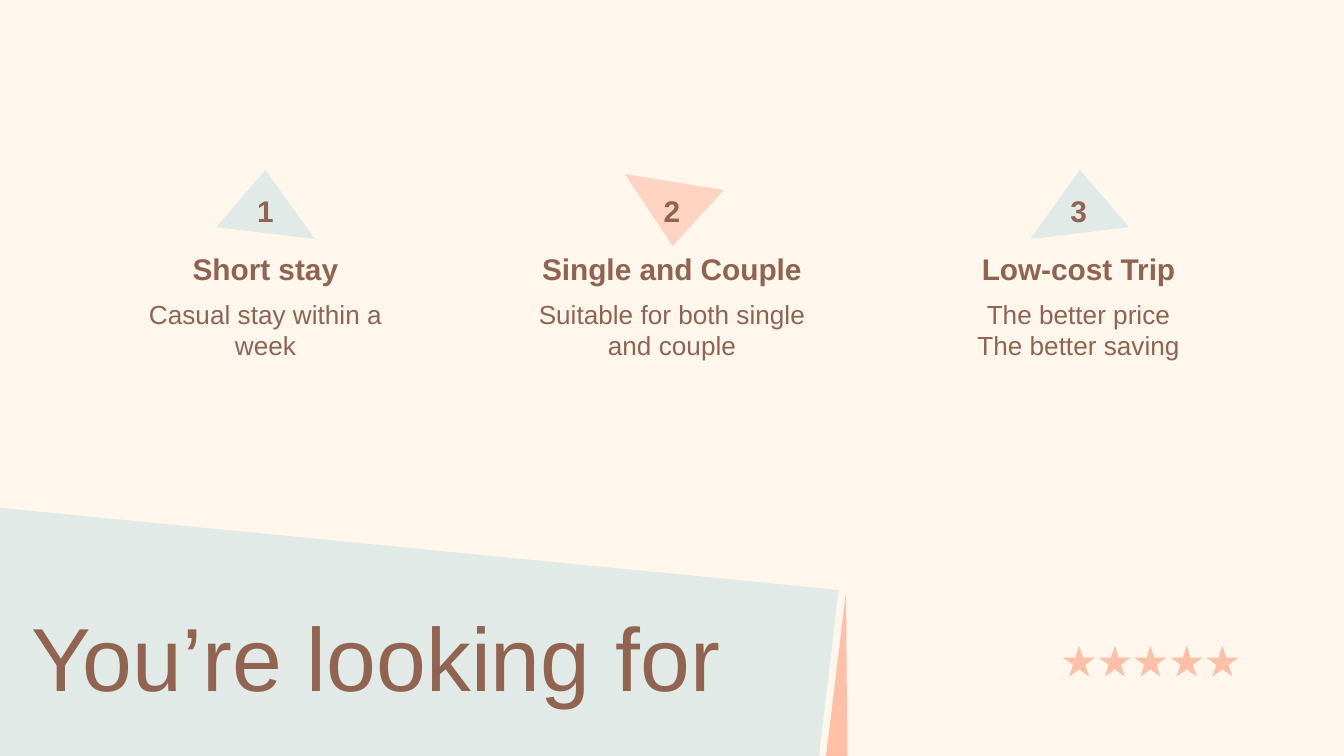
from pptx import Presentation
from pptx.dml.color import RGBColor
from pptx.enum.shapes import MSO_SHAPE
from pptx.enum.text import MSO_ANCHOR, PP_ALIGN
from pptx.util import Pt

SCALE = 4572
COLORS = {
    "cream": "FFF6EC",
    "mist": "E1EAE7",
    "peach": "FFC0A7",
    "blush": "FED3C2",
    "brown": "916452",
}
COLUMN_LEFT = 156
COLUMN_STEP = 605
COLUMN_WIDTH = 478
NUMBER_WIDTH = 174
REASONS = [
    ("Short stay", ["Casual stay within a week"], "mist",
     [(322, 338), (395, 253), (469, 356)]),
    ("Single and Couple", ["Suitable for both single and couple"], "blush",
     [(1077, 283), (1001, 366), (930, 259)]),
    ("Low-cost Trip", ["The better price", "The better saving"], "mist",
     [(1680, 338), (1607, 253), (1533, 356)]),
]


def px(length):
    return length * SCALE


def color(name):
    return RGBColor.from_string(COLORS[name])


def paint(shape, fill):
    shape.shadow.inherit = False
    shape.fill.solid()
    shape.fill.fore_color.rgb = color(fill)
    shape.line.fill.background()


def add_polygon(page, points, fill):
    builder = page.shapes.build_freeform(*points[0], scale=SCALE)
    builder.add_line_segments(points[1:], close=True)
    paint(builder.convert_to_shape(), fill)


def add_stars(page, count):
    for index in range(count):
        left = 1582 + index * 160 // 3
        star = page.shapes.add_shape(
            MSO_SHAPE.STAR_5_POINT, px(left), px(961), px(48), px(46))
        paint(star, "peach")


def add_text(page, area, lines, size, bold=False,
             align=PP_ALIGN.CENTER, anchor=MSO_ANCHOR.TOP):
    box = page.shapes.add_textbox(*map(px, area))
    frame = box.text_frame
    frame.word_wrap = True
    frame.vertical_anchor = anchor
    frame.margin_left = frame.margin_right = px(20)
    frame.margin_top = frame.margin_bottom = px(20)
    for index, line in enumerate(lines):
        para = frame.add_paragraph() if index else frame.paragraphs[0]
        para.alignment = align
        span = para.add_run()
        span.text = line
        span.font.name = "Arial"
        span.font.size = Pt(size)
        span.font.bold = bold
        span.font.color.rgb = color("brown")


def add_label(page, left, top, width, text):
    add_text(page, (left, top, width, 62), [text], 16, bold=True,
             anchor=MSO_ANCHOR.MIDDLE)


def add_reason(page, number, heading, lines, fill, triangle):
    left = COLUMN_LEFT + (number - 1) * COLUMN_STEP
    add_polygon(page, triangle, fill)
    number_left = left + (COLUMN_WIDTH - NUMBER_WIDTH) // 2
    add_label(page, number_left, 283, NUMBER_WIDTH, str(number))
    add_label(page, left, 369, COLUMN_WIDTH, heading)
    add_text(page, (left, 424, COLUMN_WIDTH, 138), lines, 14)


def main():
    deck = Presentation()
    deck.slide_width, deck.slide_height = px(2000), px(1125)
    page = deck.slides.add_slide(deck.slide_layouts[6])
    page.background.fill.solid()
    page.background.fill.fore_color.rgb = color("cream")

    add_polygon(page, [(1216, 1150), (-60, 1146), (-68, 749), (1248, 878)], "mist")
    add_polygon(page, [(1259, 881), (1261, 1148), (1226, 1152)], "peach")
    add_stars(page, 5)
    add_text(page, (27, 875, 1686, 224), ["You’re looking for"], 48, align=PP_ALIGN.LEFT)
    for number, reason in enumerate(REASONS, 1):
        add_reason(page, number, *reason)
    deck.save("out.pptx")


if __name__ == "__main__":
    main()
